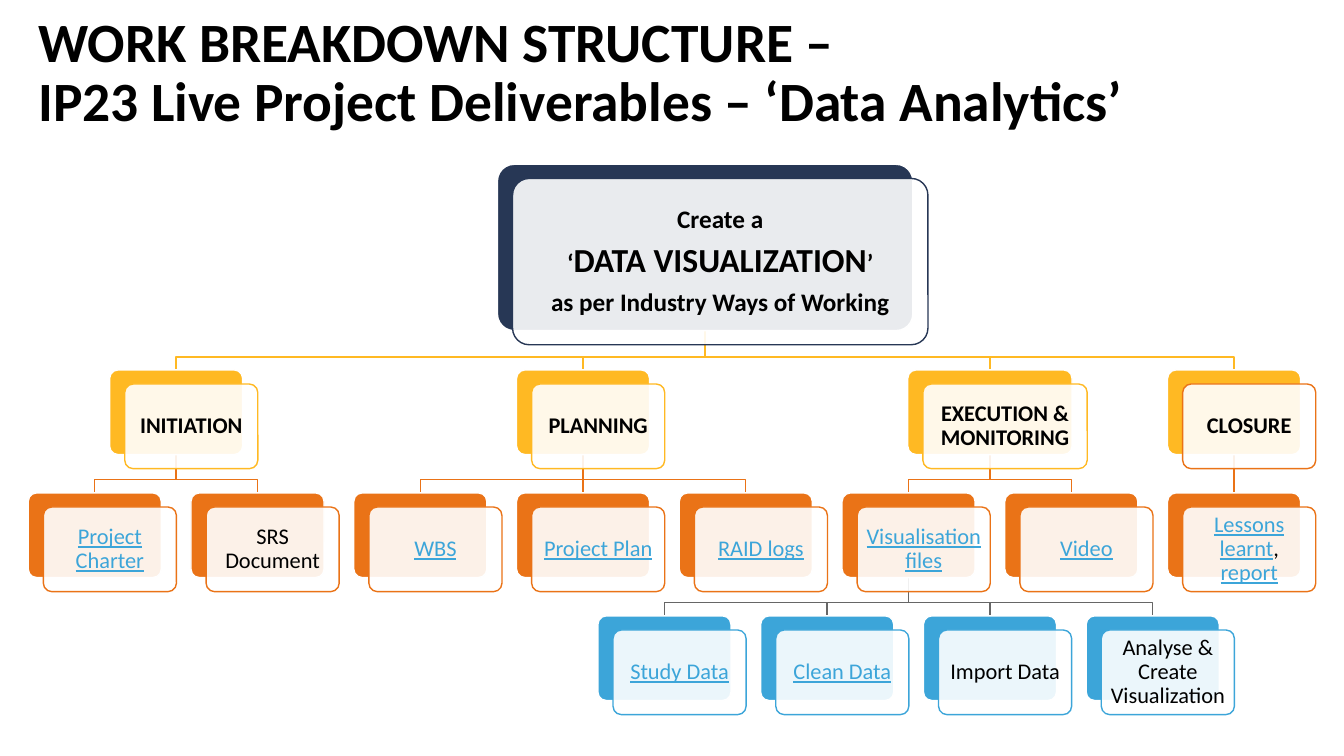
from lxml.etree import SubElement
from pptx import Presentation
from pptx.dml.color import RGBColor
from pptx.enum.shapes import MSO_CONNECTOR as Connector, MSO_SHAPE as Shape
from pptx.enum.text import MSO_ANCHOR as Anchor, MSO_AUTO_SIZE as AutoSize, PP_ALIGN as Align
from pptx.oxml.ns import qn
from pptx.util import Inches, Pt

COLORS = {"navy": "273755", "yellow": "FFB923", "orange": "EA7317",
          "blue": "3CA5D9", "gray": "666666", "white": "FFFFFF", "black": "000000"}
TITLE = "WORK BREAKDOWN STRUCTURE –\vIP23 Live Project Deliverables – ‘Data Analytics’"
GOAL = [
    [("Create a", "goal")],
    [("‘", "goal"), ("DATA VISUALIZATION", "headline"), ("’", "goal")],
    [("as per Industry Ways of Working", "goal")],
]
DATA_STEPS = [
    [("Study Data", "link")],
    [("Clean Data", "link")],
    [("Import Data", "plain")],
    [("Analyse & Create Visualization", "plain")],
]
PHASES = [
    {"name": "INITIATION", "deliverables": [
        [("Project Charter", "link")], [("SRS Document", "plain")]]},
    {"name": "PLANNING", "deliverables": [
        [("WBS", "link")], [("Project Plan", "link")], [("RAID logs", "link")]]},
    {"name": "EXECUTION & MONITORING", "width": 1.63, "deliverables": [
        [("Visualisation files", "link")], [("Video", "link")]]},
    {"name": "CLOSURE", "outline": "orange", "deliverables": [
        [("Lessons learnt", "link"), (", ", "plain"), ("report", "link")]]},
]
SPLIT_DELIVERABLE = "Visualisation files"

RUN_STYLES = {
    "title": ({"size": Pt(39.6), "bold": True}, "black"),
    "goal": ({"size": Pt(18), "bold": True}, "black"),
    "headline": ({"size": Pt(24), "bold": True}, "black"),
    "phase": ({"size": Pt(16), "bold": True}, "black"),
    "link": ({"size": Pt(16), "underline": True}, "blue"),
    "plain": ({"size": Pt(16)}, "black"),
}
FRAME_FORMAT = {"word_wrap": True, "auto_size": AutoSize.NONE, "vertical_anchor": Anchor.MIDDLE}
CARD_FRAME = {**FRAME_FORMAT, **{f"margin_{side}": Inches(0.06)
                                 for side in ("left", "right", "top", "bottom")}}
CARD_PARAGRAPH = {"alignment": Align.CENTER, "line_spacing": 0.9, "space_after": Pt(7)}

FIRST_CENTER, LAST_CENTER, COLUMNS = 0.94, 12.24, 8
PITCH = (LAST_CENTER - FIRST_CENTER) / (COLUMNS - 1)
GOAL_TOP, GOAL_WIDTH, GOAL_HEIGHT = 1.63, 4.12, 1.65
PHASE_TOP, ROW_STEP = 3.67, 1.22
CARD_WIDTH, CARD_HEIGHT = 1.32, 0.84
CORNER = 0.1
FRONT_X, FRONT_Y = 0.15, 0.14
ELBOW_RISE = 0.13

presentation = Presentation()
presentation.slide_width, presentation.slide_height = Inches(13.33), Inches(7.5)
slide = presentation.slides.add_slide(presentation.slide_layouts[5])
shapes = slide.shapes


def rgb(name):
    return RGBColor.from_string(COLORS[name])


def apply(target, values):
    for name, value in values.items():
        setattr(target, name, value)


def style_run(run, style):
    values, color = RUN_STYLES[style]
    apply(run.font, {"name": "Calibri", **values})
    run.font.color.rgb = rgb(color)


def center_x(column):
    return FIRST_CENTER + column * PITCH


def row_top(row):
    return PHASE_TOP + row * ROW_STEP


def set_line(shape, color):
    shape.line.color.rgb = rgb(color)
    shape.line.width = Pt(1)


def draw_link(parent, child, color):
    start_x, end_x = center_x(parent["column"]), center_x(child["column"])
    start_y, end_y = parent["top"] + parent["height"], child["top"]
    if parent["column"] == child["column"]:
        link = shapes.add_connector(Connector.STRAIGHT, Inches(start_x), Inches(start_y),
                                    Inches(end_x), Inches(end_y))
        SubElement(link._element.spPr, qn("a:effectLst"))
    else:
        elbow_y = end_y - ELBOW_RISE
        builder = shapes.build_freeform(Inches(start_x), Inches(start_y))
        points = [(start_x, elbow_y), (end_x, elbow_y), (end_x, end_y)]
        builder.add_line_segments([(Inches(x), Inches(y)) for x, y in points], close=False)
        link = builder.convert_to_shape()
        link.fill.background()
        link.shadow.inherit = False
    set_line(link, color)


def draw_panel(left, top, card, fill, outline):
    panel = shapes.add_shape(Shape.ROUNDED_RECTANGLE, Inches(left), Inches(top),
                             Inches(card["width"]), Inches(card["height"]))
    panel.adjustments[0] = CORNER
    panel.shadow.inherit = False
    panel.fill.solid()
    panel.fill.fore_color.rgb = rgb(fill)
    set_line(panel, outline)
    return panel


def draw_card(card):
    left, top = center_x(card["column"]) - card["width"] / 2, card["top"]
    draw_panel(left, top, card, card["color"], "white")
    front = draw_panel(left + FRONT_X, top + FRONT_Y, card, "white", card["outline"])
    fill_color = front._element.spPr.find(qn("a:solidFill"))[0]
    SubElement(fill_color, qn("a:alpha"), val="90000")
    frame = front.text_frame
    apply(frame, CARD_FRAME)
    for index, runs in enumerate(card["text"]):
        paragraph = frame.paragraphs[0] if index == 0 else frame.add_paragraph()
        apply(paragraph, CARD_PARAGRAPH)
        for text, style in runs:
            run = paragraph.add_run()
            run.text = text
            style_run(run, style)


def make_card(text, column, top, color, **options):
    return {"text": text, "column": column, "top": top, "color": color, "outline": color,
            "width": CARD_WIDTH, "height": CARD_HEIGHT, **options}


def middle(cards):
    return (cards[0]["column"] + cards[-1]["column"]) / 2


cards, links, phase_cards = [], [], []
next_column = 0
for phase in PHASES:
    deliverables = []
    for runs in phase["deliverables"]:
        deliverable = make_card([runs], next_column, row_top(1), "orange")
        deliverables.append(deliverable)
        next_column += 1
        if runs[0][0] == SPLIT_DELIVERABLE:
            first_step = deliverable["column"] - (len(DATA_STEPS) - 1) / 2
            steps = [make_card([step], first_step + index, row_top(2), "blue")
                     for index, step in enumerate(DATA_STEPS)]
            cards += steps
            links += [(deliverable, step, "gray") for step in steps]
    options = {key: phase[key] for key in ("width", "outline") if key in phase}
    phase_card = make_card([[(phase["name"], "phase")]], middle(deliverables),
                           row_top(0), "yellow", **options)
    phase_cards.append(phase_card)
    cards += [phase_card] + deliverables
    links += [(phase_card, deliverable, "orange") for deliverable in deliverables]

goal = make_card(GOAL, middle(phase_cards), GOAL_TOP, "navy",
                 width=GOAL_WIDTH, height=GOAL_HEIGHT)
links += [(goal, phase_card, "yellow") for phase_card in phase_cards]

title = shapes.title
apply(title, {"left": Inches(0.28), "top": Inches(0.01),
              "width": Inches(11.5), "height": Inches(1.45)})
title.text_frame.text = TITLE
apply(title.text_frame, FRAME_FORMAT)
heading = title.text_frame.paragraphs[0]
apply(heading, {"alignment": Align.LEFT, "line_spacing": 0.9})
for run in heading.runs:
    style_run(run, "title")

for link in links:
    draw_link(*link)
for card in [goal] + cards:
    draw_card(card)

presentation.save("out.pptx")
